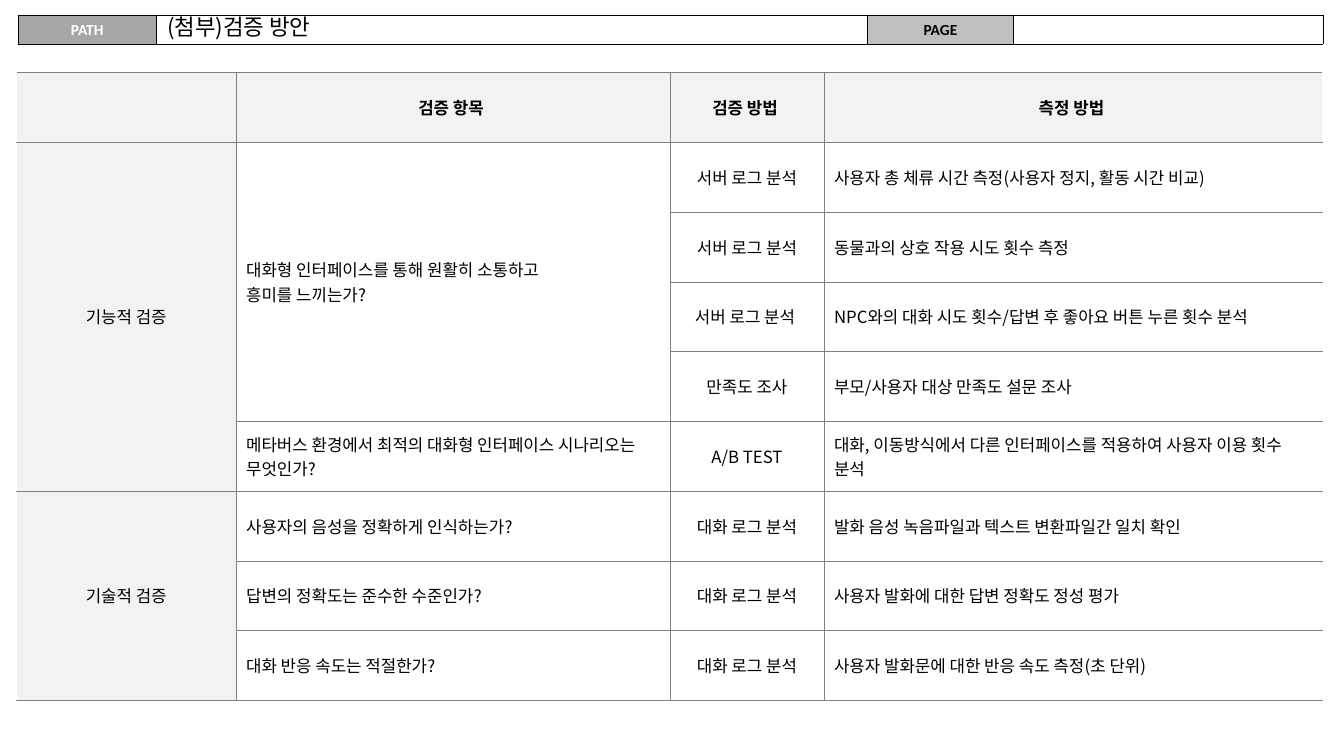
from lxml import etree
from pptx import Presentation
from pptx.dml.color import RGBColor
from pptx.enum.text import MSO_ANCHOR, PP_ALIGN
from pptx.oxml.ns import qn
from pptx.util import Pt

MIDDLE = MSO_ANCHOR.MIDDLE
LEFT, CENTER = PP_ALIGN.LEFT, PP_ALIGN.CENTER

BLACK = RGBColor(0x00, 0x00, 0x00)
WHITE = RGBColor(0xFF, 0xFF, 0xFF)
RULE_GRAY = RGBColor(0x80, 0x80, 0x80)
HEADING_GRAY = RGBColor(0xF2, 0xF2, 0xF2)
PATH_GRAY = RGBColor(0xA6, 0xA6, 0xA6)
PAGE_GRAY = RGBColor(0xBF, 0xBF, 0xBF)

KOREAN = "Noto Sans CJK KR"
LABEL = {"name": "Calibri", "size": Pt(11), "bold": True}
TITLE = {"name": KOREAN, "size": Pt(16), "bold": False}
HEADING = {"name": KOREAN, "size": Pt(12), "bold": True}
BODY = {"name": KOREAN, "size": Pt(12), "bold": False}

PATH_BAR_BOX = (13, 10.8, 931.8, 20.2)
PATH_BAR_COLUMNS = (98.6, 508, 104.3, 220.9)
PATH_BAR_CELLS = (
    ("PATH", WHITE, PATH_GRAY),
    ("", BLACK, None),
    ("PAGE", BLACK, PAGE_GRAY),
    ("", BLACK, None),
)

TITLE_BOX = (112.3, 10.8, 503.3, 18.7)

PLAN_BOX = (11.8, 51.7, 933.1, 448.6)
PLAN_COLUMNS = (156.8, 310, 110, 356.3)
PLAN_ALIGNMENTS = (CENTER, LEFT, CENTER, LEFT)
PLAN_ROWS = (
    ("", "검증 항목 ", "검증 방법 ", "측정 방법 "),
    ("기능적 검증", "대화형 인터페이스를 통해 원활히 소통하고 \n흥미를 느끼는가?",
     "서버 로그 분석", "사용자 총 체류 시간 측정(사용자 정지, 활동 시간 비교)"),
    ("", "", "서버 로그 분석", "동물과의 상호 작용 시도 횟수 측정"),
    ("", "", "서버 로그 분석 ", "NPC와의 대화 시도 횟수/답변 후 좋아요 버튼 누른 횟수 분석"),
    ("", "", "만족도 조사", "부모/사용자 대상 만족도 설문 조사"),
    ("", "메타버스 환경에서 최적의 대화형 인터페이스 시나리오는 무엇인가?",
     "A/B TEST", "대화, 이동방식에서 다른 인터페이스를 적용하여 사용자 이용 횟수 분석"),
    ("기술적 검증", "사용자의 음성을 정확하게 인식하는가?",
     "대화 로그 분석", "발화 음성 녹음파일과 텍스트 변환파일간 일치 확인"),
    ("", "답변의 정확도는 준수한 수준인가?",
     "대화 로그 분석", "사용자 발화에 대한 답변 정확도 정성 평가"),
    ("", "대화 반응 속도는 적절한가?",
     "대화 로그 분석", "사용자 발화문에 대한 반응 속도 측정(초 단위)"),
)
PLAN_MERGES = ((1, 5, 0), (1, 4, 1), (6, 8, 0))


def write_text(paragraph, text, formats, color, alignment):
    """Write formatted text, or size the empty paragraph."""
    paragraph.alignment = alignment
    if not text:
        end = etree.SubElement(paragraph._p, qn("a:endParaRPr"))
        end.set("sz", str(int(formats["size"].pt * 100)))
        return
    paragraph.text = text
    for run in paragraph.runs:
        for attribute, value in formats.items():
            setattr(run.font, attribute, value)
        run.font.color.rgb = color
        east_asian = etree.SubElement(run.font._element, qn("a:ea"))
        east_asian.set("typeface", formats["name"])


def draw_borders(cell, borders):
    """Give each side of a cell its colour and width."""
    properties = cell._tc.get_or_add_tcPr()
    for side, (color, width) in borders.items():
        line = etree.SubElement(properties, qn(f"a:ln{side}"), w=str(Pt(width)))
        solid = etree.SubElement(line, qn("a:solidFill"))
        etree.SubElement(solid, qn("a:srgbClr"), val=str(color))


def fill_cell(cell, color):
    """Fill a cell with a colour, or leave it clear."""
    if color is None:
        cell.fill.background()
    else:
        cell.fill.solid()
        cell.fill.fore_color.rgb = color


def add_plain_table(slide, box, row_count, column_widths):
    """Add an unbanded table with equal rows in the box."""
    left, top, width, height = box
    table = slide.shapes.add_table(
        row_count, len(column_widths), Pt(left), Pt(top), Pt(width), Pt(height)).table
    table.first_row = table.horz_banding = False
    for column, column_width in zip(table.columns, column_widths):
        column.width = Pt(column_width)
    for row in table.rows:
        row.height = Pt(height / row_count)
    return table


def add_path_bar(slide, box):
    """Draw the bar with the path and page labels."""
    bar = add_plain_table(slide, box, 1, PATH_BAR_COLUMNS)
    for index, (label, color, fill) in enumerate(PATH_BAR_CELLS):
        cell = bar.cell(0, index)
        cell.vertical_anchor = MIDDLE
        write_text(cell.text_frame.paragraphs[0], label, LABEL, color, CENTER)
        draw_borders(cell, dict.fromkeys("LRTB", (BLACK, 0.25)))
        fill_cell(cell, fill)


def add_title(slide, box):
    """Place the slide title in the path bar."""
    frame = slide.shapes.add_textbox(*map(Pt, box)).text_frame
    frame.word_wrap = True
    frame.vertical_anchor = MIDDLE
    title = frame.paragraphs[0]
    title.line_spacing = 0.9
    write_text(title, "(첨부)검증 방안", TITLE, BLACK, LEFT)


def add_verification_plan(slide, box):
    """Draw the table of items, methods and measurements."""
    plan = add_plain_table(slide, box, len(PLAN_ROWS), PLAN_COLUMNS)
    last_column = len(PLAN_COLUMNS) - 1
    for row, entries in enumerate(PLAN_ROWS):
        for column, entry in enumerate(entries):
            cell = plan.cell(row, column)
            cell.vertical_anchor = MIDDLE
            is_heading = row == 0
            write_text(cell.text_frame.paragraphs[0], entry,
                       HEADING if is_heading else BODY, BLACK,
                       CENTER if is_heading else PLAN_ALIGNMENTS[column])
            borders = dict.fromkeys("LRTB", (RULE_GRAY, 0.25))
            if column == 0:
                borders["L"] = (WHITE, 1)
            if column == last_column:
                borders["R"] = (WHITE, 1)
            draw_borders(cell, borders)
            fill_cell(cell, HEADING_GRAY if is_heading or column == 0 else None)
    for first, last, column in PLAN_MERGES:
        plan.cell(first, column).merge(plan.cell(last, column))


def main():
    """Build and save the slide."""
    presentation = Presentation()
    presentation.slide_width, presentation.slide_height = Pt(960), Pt(540)
    slide = presentation.slides.add_slide(presentation.slide_layouts[6])
    add_path_bar(slide, PATH_BAR_BOX)
    add_title(slide, TITLE_BOX)
    add_verification_plan(slide, PLAN_BOX)
    presentation.save("out.pptx")


if __name__ == "__main__":
    main()
